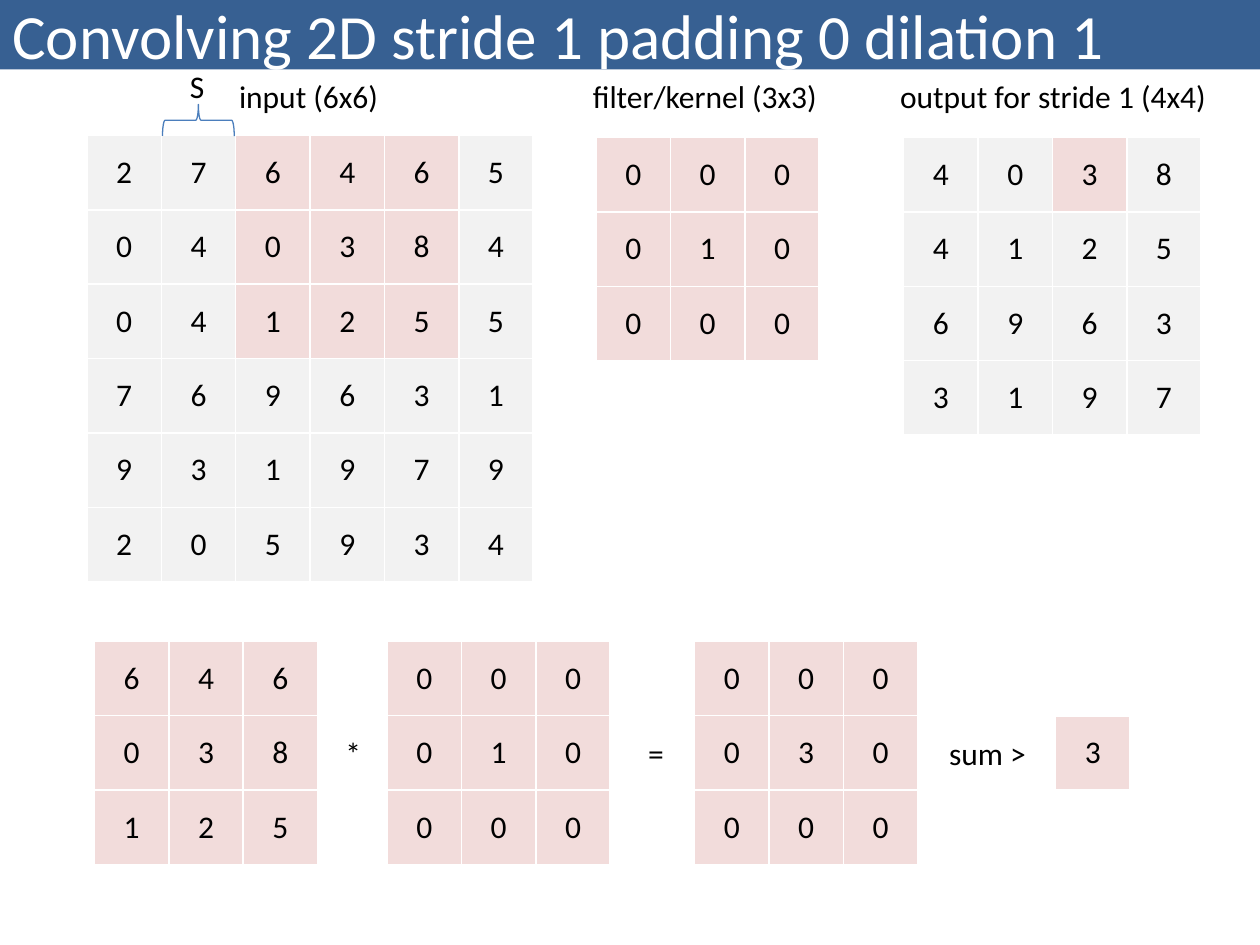
from dataclasses import dataclass
from typing import Any

from lxml import etree
from pptx import Presentation
from pptx.dml.color import RGBColor
from pptx.enum import shapes, text
from pptx.oxml import ns
from pptx.util import Pt

Rows = list[list[int]]


@dataclass(frozen=True)
class Theme:
    font: str = "Calibri"
    head: int = 36
    body: int = 18
    bar: str = "376092"
    white: str = "FFFFFF"
    black: str = "000000"
    gray: str = "F2F2F2"
    pink: str = "F2DCDB"
    blue: str = "4B7EBC"
    edge: float = 1
    thin: float = 0.75


@dataclass(frozen=True)
class Grid:
    left: float
    top: float
    rows: Rows
    hot: tuple[int, int, int, int]


@dataclass(frozen=True)
class Label:
    words: str
    left: float
    top: float
    width: float


THEME = Theme()
SIDE = 42.5
STEP = 1
SPOT = (0, 2)

INPUT: Rows = [
    [2, 7, 6, 4, 6, 5],
    [0, 4, 0, 3, 8, 4],
    [0, 4, 1, 2, 5, 5],
    [7, 6, 9, 6, 3, 1],
    [9, 3, 1, 9, 7, 9],
    [2, 0, 5, 9, 3, 4],
]
KERNEL: Rows = [[0, 0, 0], [0, 1, 0], [0, 0, 0]]


def patch(row: int, col: int) -> Rows:
    size = len(KERNEL)
    return [line[col:col + size] for line in INPUT[row:row + size]]


def times(one: Rows, two: Rows) -> Rows:
    return [[a * b for a, b in zip(x, y)] for x, y in zip(one, two)]


def total(rows: Rows) -> int:
    return sum(map(sum, rows))


def slide_over() -> Rows:
    span = range(0, len(INPUT) - len(KERNEL) + 1, STEP)
    return [[total(times(patch(r, c), KERNEL)) for c in span] for r in span]


def rgb(code: str) -> RGBColor:
    return RGBColor.from_string(code)


def apply(item: Any, form: dict[str, Any]) -> None:
    for name, value in form.items():
        setattr(item, name, value)


def write(frame: Any, words: str, size: int, color: str, align: Any) -> None:
    para = frame.paragraphs[0]
    para.alignment = align
    run = para.add_run()
    run.text = words
    apply(run.font, {"name": THEME.font, "size": Pt(size), "bold": False})
    run.font.color.rgb = rgb(color)


def border(cell: Any) -> None:
    props = cell._tc.get_or_add_tcPr()
    for side in ("a:lnL", "a:lnR", "a:lnT", "a:lnB"):
        line = etree.SubElement(props, ns.qn(side), w=str(Pt(THEME.edge)))
        fill = etree.SubElement(line, ns.qn("a:solidFill"))
        etree.SubElement(fill, ns.qn("a:srgbClr"), val=THEME.white)


def draw_grid(slide: Any, grid: Grid) -> None:
    high, wide = len(grid.rows), len(grid.rows[0])
    table = slide.shapes.add_table(
        high, wide, Pt(grid.left), Pt(grid.top), Pt(wide * SIDE), Pt(high * SIDE)
    ).table
    apply(table, {"first_row": False, "horz_banding": False})
    for col in table.columns:
        col.width = Pt(SIDE)
    for row in table.rows:
        row.height = Pt(SIDE)
    top, left, tall, broad = grid.hot
    for r, line in enumerate(grid.rows):
        for c, value in enumerate(line):
            cell = table.cell(r, c)
            cell.vertical_anchor = text.MSO_ANCHOR.MIDDLE
            border(cell)
            hot = top <= r < top + tall and left <= c < left + broad
            cell.fill.solid()
            cell.fill.fore_color.rgb = rgb(THEME.pink if hot else THEME.gray)
            write(cell.text_frame, str(value), THEME.body, THEME.black,
                  text.PP_ALIGN.CENTER)


def draw_label(slide: Any, label: Label) -> None:
    box = slide.shapes.add_textbox(
        Pt(label.left), Pt(label.top), Pt(label.width), Pt(29)
    )
    apply(box.text_frame, {
        "word_wrap": False,
        "auto_size": text.MSO_AUTO_SIZE.SHAPE_TO_FIT_TEXT,
    })
    write(box.text_frame, label.words, THEME.body, THEME.black, text.PP_ALIGN.LEFT)


def draw_title(slide: Any, words: str) -> None:
    bar = slide.shapes.add_shape(
        shapes.MSO_SHAPE.RECTANGLE, Pt(0), Pt(0), Pt(720), Pt(39.6)
    )
    bar.shadow.inherit = False
    bar.fill.solid()
    bar.fill.fore_color.rgb = rgb(THEME.bar)
    bar.line.fill.background()
    apply(bar.text_frame, {
        "word_wrap": True, "vertical_anchor": text.MSO_ANCHOR.MIDDLE,
    })
    write(bar.text_frame, words, THEME.head, THEME.white, text.PP_ALIGN.LEFT)


def draw_brace(slide: Any) -> None:
    brace = slide.shapes.add_shape(
        shapes.MSO_SHAPE.RIGHT_BRACE, Pt(104.4), Pt(48.2), Pt(18), Pt(41)
    )
    brace.rotation = 270
    brace.shadow.inherit = False
    brace.fill.background()
    brace.line.color.rgb = rgb(THEME.blue)
    brace.line.width = Pt(THEME.thin)


def main() -> None:
    deck = Presentation()
    apply(deck, {"slide_width": Pt(720), "slide_height": Pt(540)})
    slide = deck.slides.add_slide(deck.slide_layouts[6])
    draw_title(slide, "Convolving 2D stride 1 padding 0 dilation 1")

    part = patch(*SPOT)
    product = times(part, KERNEL)
    full = (0, 0, 3, 3)
    low = 366.5
    grids = [
        Grid(49.7, 77.4, INPUT, (*SPOT, 3, 3)),
        Grid(340.6, 78.6, KERNEL, full),
        Grid(516.4, 78.6, slide_over(), (*SPOT, 1, 1)),
        Grid(54, low, part, full),
        Grid(221.2, low, KERNEL, full),
        Grid(396.9, low, product, full),
        Grid(603.2, low + SIDE, [[total(product)]], full),
    ]
    for grid in grids:
        draw_grid(slide, grid)

    draw_brace(slide)
    labels = [
        Label("input (6x6)", 129.5, 40.6, 95),
        Label("filter/kernel (3x3)", 331.7, 40.6, 144),
        Label("output for stride 1 (4x4)", 507.3, 40.6, 191.5),
        Label("*", 190.3, 415.8, 23.8),
        Label("=", 363.3, 415.8, 23.8),
        Label("sum >", 535.3, 415.8, 59),
        Label("S", 101.5, 34.9, 23.8),
    ]
    for label in labels:
        draw_label(slide, label)
    deck.save("out.pptx")


if __name__ == "__main__":
    main()
